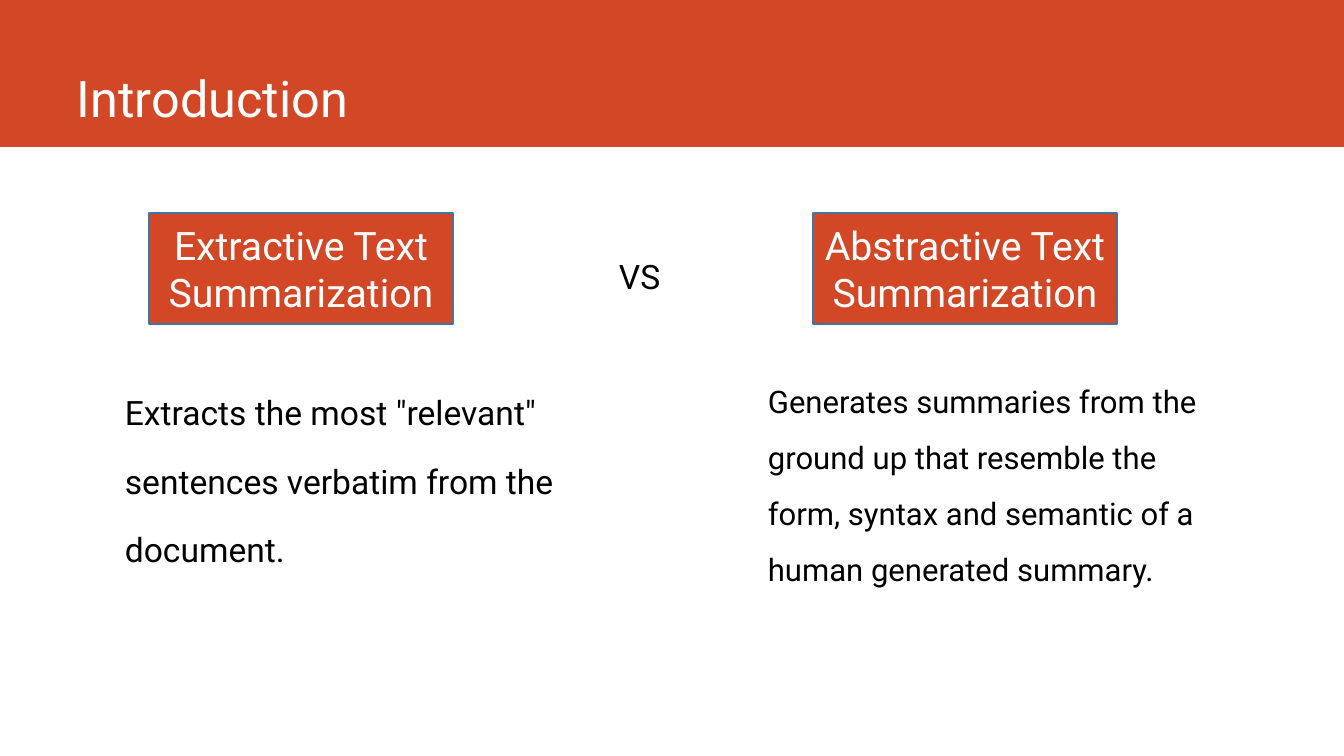
"""Build the introduction slide comparing two kinds of text summarization."""
from pptx import Presentation
from pptx.dml.color import RGBColor
from pptx.enum.shapes import MSO_SHAPE
from pptx.enum.text import MSO_ANCHOR, PP_ALIGN
from pptx.util import Pt

SCALE = 12192000 / 1344
RED, BLUE, WHITE, BLACK = "D24726", "43739E", "FFFFFF", "000000"


def paint(color, tone):
    color.rgb = RGBColor.from_string(tone)


def write(shape, text, size, tone, anchor=MSO_ANCHOR.TOP, align=PP_ALIGN.LEFT, wrap=True):
    frame = shape.text_frame
    frame.word_wrap = wrap
    frame.vertical_anchor = anchor
    para = frame.paragraphs[0]
    para.alignment = align
    run = para.add_run()
    run.text = text
    run.font.name = "Roboto"
    run.font.size = Pt(size)
    paint(run.font.color, tone)
    return para


deck = Presentation()
deck.slide_width = round(1344 * SCALE)
deck.slide_height = round(756 * SCALE)
slide = deck.slides.add_slide(deck.slide_layouts[6])
shapes = slide.shapes

banner = shapes.add_shape(MSO_SHAPE.RECTANGLE, 0, 0, deck.slide_width, round(147 * SCALE))
banner.shadow.inherit = False
banner.fill.solid()
paint(banner.fill.fore_color, RED)
banner.line.fill.background()

title = shapes.add_textbox(*[round(n * SCALE) for n in (67, 0, 1185, 133)])
write(title, "Introduction", 36, WHITE, MSO_ANCHOR.BOTTOM)

notes = [
    ((115, 359, 471, 235), 'Extracts the most "relevant" sentences verbatim from the document.', 24, 1.7, True),
    ((758, 359, 471, 235), "Generates summaries from the ground up that resemble the form, "
     "syntax and semantic of a human generated summary.", 22.2, 1.5, True),
    ((609, 223, 62, 82), "VS", 24, 1.7, False),
]
for place, text, size, space, wrap in notes:
    box = shapes.add_textbox(*[round(n * SCALE) for n in place])
    para = write(box, text, size, BLACK, wrap=wrap)
    para.line_spacing = space
    para.space_after = Pt(12)

for left, kind in ((149, "Extractive"), (813, "Abstractive")):
    label = shapes.add_shape(MSO_SHAPE.RECTANGLE, *[round(n * SCALE) for n in (left, 213, 304, 111)])
    label.shadow.inherit = False
    label.fill.solid()
    paint(label.fill.fore_color, RED)
    paint(label.line.color, BLUE)
    label.line.width = Pt(1)
    write(label, f"{kind} Text Summarization", 28, WHITE, MSO_ANCHOR.MIDDLE, PP_ALIGN.CENTER)

deck.save("out.pptx")
